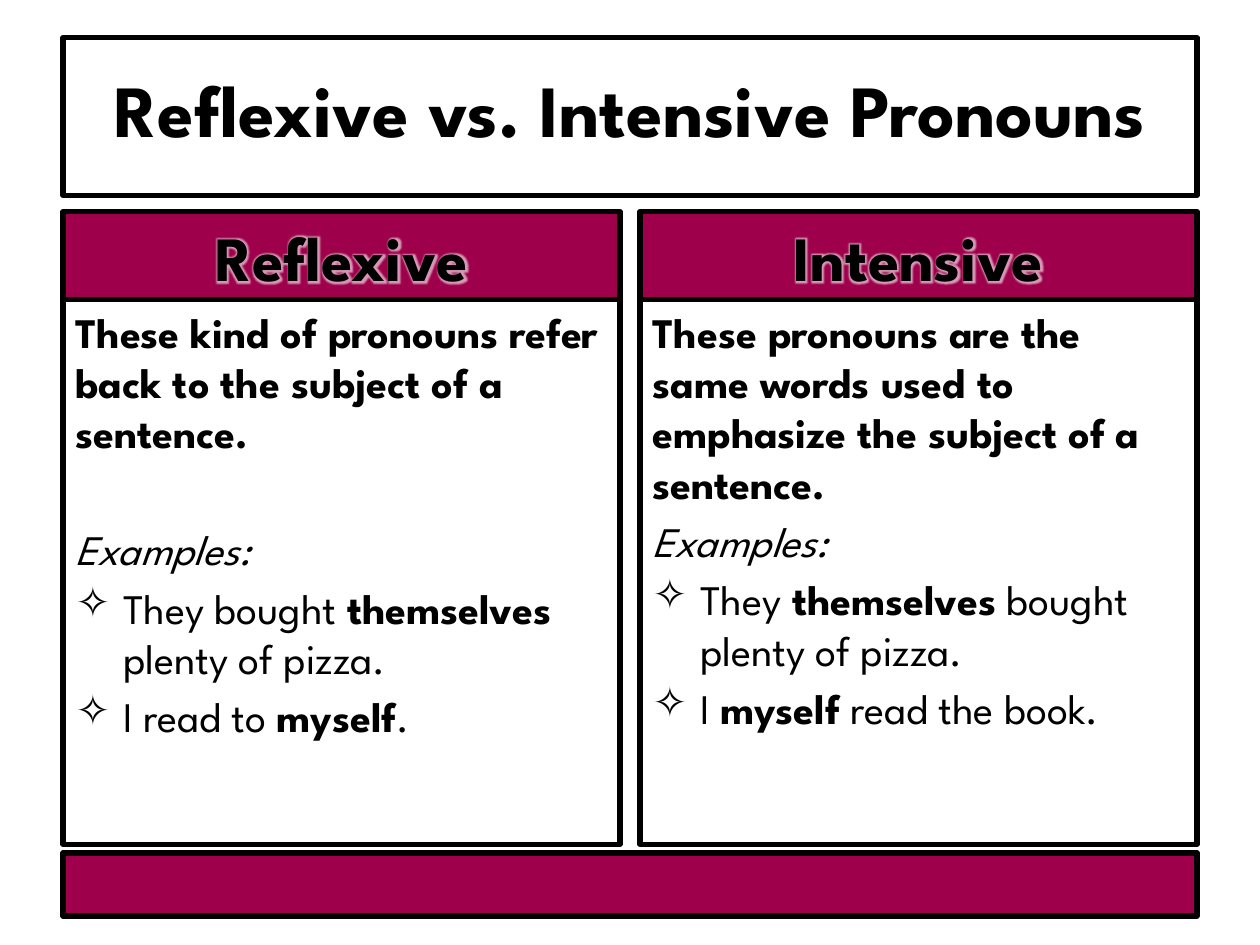
from lxml import etree
from pptx import Presentation
from pptx import util as u
from pptx.dml.color import RGBColor
from pptx.enum import shapes, text
from pptx.oxml import parse_xml
from pptx.oxml.ns import qn

BLACK = RGBColor(0x00, 0x00, 0x00)
WHITE = RGBColor(0xFF, 0xFF, 0xFF)
MAGENTA = RGBColor(0x9E, 0x00, 0x4B)
FONT = "League Spartan"
DRAWING = 'xmlns:a="http://schemas.openxmlformats.org/drawingml/2006/main"'
OUTLINE = f'<a:ln {DRAWING} w="9525"><a:solidFill><a:srgbClr val="000000"/></a:solidFill></a:ln>'
GLOW = (f'<a:effectLst {DRAWING}><a:glow rad="63500"><a:srgbClr val="FFFFFF">'
        '<a:alpha val="60000"/></a:srgbClr></a:glow></a:effectLst>')

deck = Presentation()
deck.slide_width, deck.slide_height = u.Inches(10), u.Inches(7.5)
page = deck.slides.add_slide(deck.slide_layouts[6])


def add_box(left, top, width, height, fill, anchor=text.MSO_ANCHOR.TOP):
    box = page.shapes.add_shape(shapes.MSO_SHAPE.RECTANGLE, u.Inches(left), u.Inches(top),
                                u.Inches(width), u.Inches(height))
    box.shadow.inherit = False
    box.fill.solid()
    box.fill.fore_color.rgb = fill
    box.line.color.rgb = BLACK
    box.line.width = u.Pt(3)
    box.text_frame.word_wrap = True
    box.text_frame.vertical_anchor = anchor
    return box


def add_span(para, words, size, bold=False, italic=False):
    span = para.add_run()
    span.text = words
    font = span.font
    font.name, font.size, font.bold, font.italic = FONT, u.Pt(size), bold, italic
    font.color.rgb = BLACK
    return span


# Title
title = add_box(0.5, 0.3, 9, 1.25, WHITE, text.MSO_ANCHOR.MIDDLE)
para = title.text_frame.paragraphs[0]
para.alignment = text.PP_ALIGN.CENTER
para.line_spacing = 0.8
add_span(para, "Reflexive vs. Intensive Pronouns", 42, bold=True)

# Columns: left edge, heading, definition, space before the examples, sentences
columns = [
    (0.5, "Reflexive", "These kind of pronouns refer back to the subject of a sentence.", 38,
     [("They bought ", "themselves", " plenty of pizza."), ("I read to ", "myself", ".")]),
    (5.08, "Intensive",
     "These pronouns are the same words used to emphasize the subject of a sentence.", 4.5,
     [("They ", "themselves", " bought plenty of pizza."), ("I ", "myself", " read the book.")]),
]
for left, heading, definition, gap, sentences in columns:
    # Heading with outlined, glowing letters
    header = add_box(left, 1.68, 4.42, 0.7, MAGENTA, text.MSO_ANCHOR.BOTTOM)
    para = header.text_frame.paragraphs[0]
    para.alignment = text.PP_ALIGN.CENTER
    span = add_span(para, heading, 36, bold=True)
    properties = span.font._element
    properties.insert(0, parse_xml(OUTLINE))
    properties.find(qn("a:solidFill")).addnext(parse_xml(GLOW))

    # Definition and examples
    frame = add_box(left, 2.38, 4.42, 4.32, WHITE).text_frame
    para = frame.paragraphs[0]
    para.alignment = text.PP_ALIGN.LEFT
    add_span(para, definition, 24, bold=True)
    para = frame.add_paragraph()
    para.alignment = text.PP_ALIGN.LEFT
    para.space_before = u.Pt(gap)
    add_span(para, "Examples:", 24, italic=True)
    for before, pronoun, after in sentences:
        para = frame.add_paragraph()
        para.alignment = text.PP_ALIGN.LEFT
        para.space_before = u.Pt(4.5)
        layout = para._p.get_or_add_pPr()
        layout.set("marL", str(u.Inches(0.38)))
        layout.set("indent", str(-u.Inches(0.38)))
        etree.SubElement(layout, qn("a:buChar")).set("char", "✧")
        add_span(para, before, 24)
        add_span(para, pronoun, 24, bold=True)
        add_span(para, after, 24)

# Footer band
add_box(0.5, 6.77, 9, 0.5, MAGENTA)

deck.save("out.pptx")
